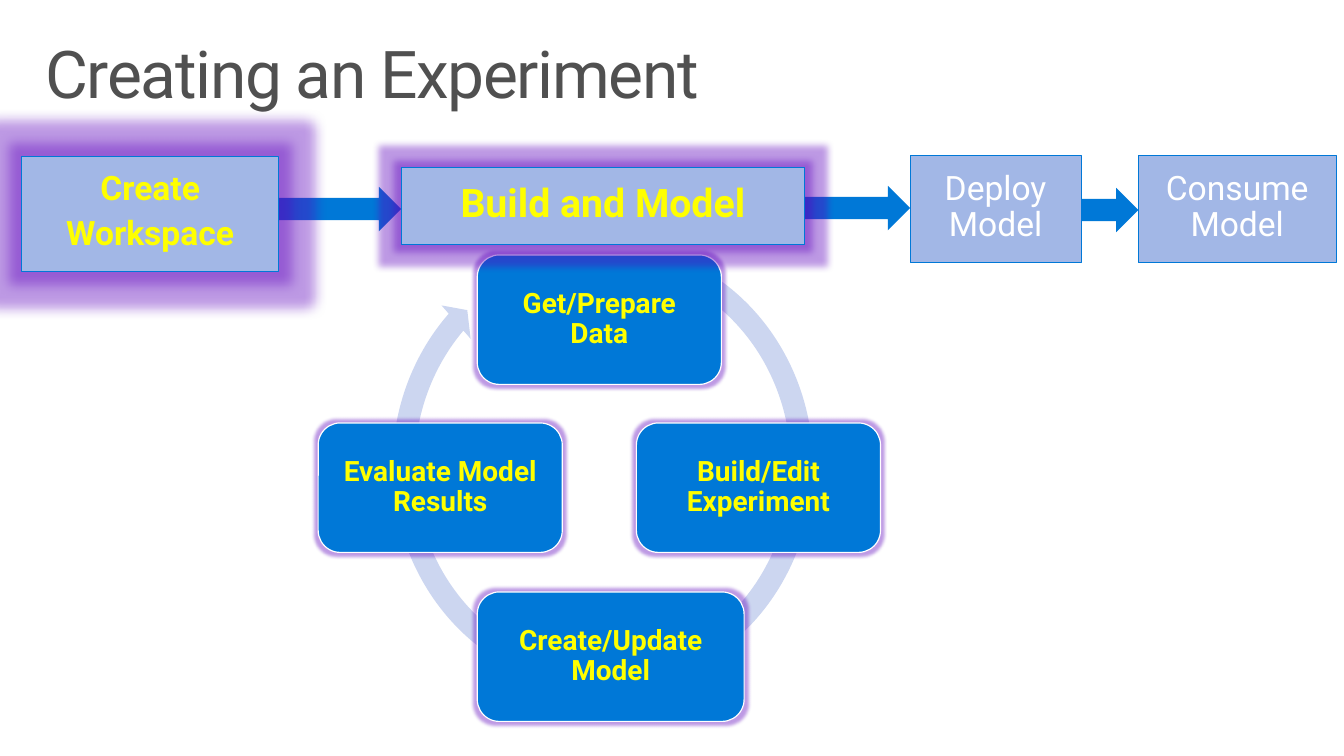
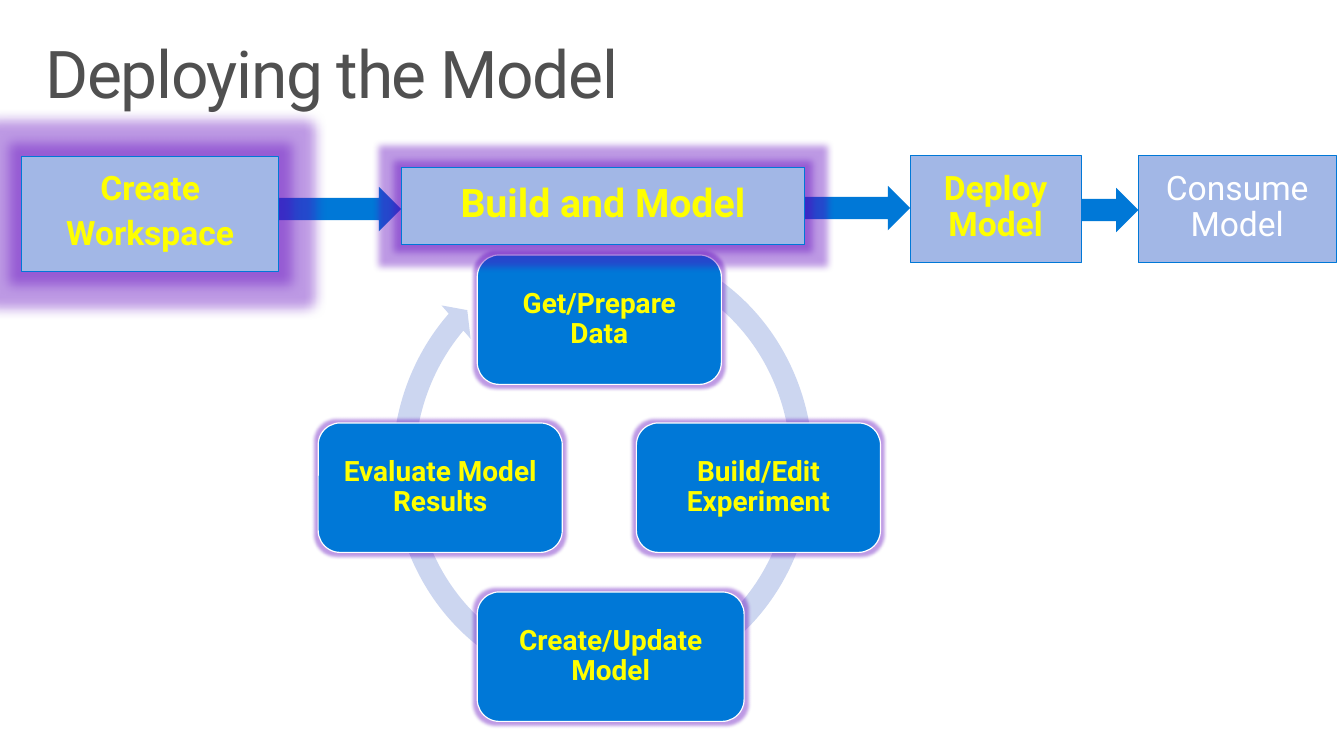
from dataclasses import dataclass

from lxml import etree
from pptx import Presentation
from pptx.dml.color import RGBColor
from pptx.enum.shapes import MSO_SHAPE
from pptx.enum.text import MSO_ANCHOR, MSO_AUTO_SIZE, PP_ALIGN
from pptx.oxml.ns import qn
from pptx.presentation import Presentation as Deck
from pptx.shapes.autoshape import Shape
from pptx.shapes.shapetree import GroupShapes, SlideShapes
from pptx.slide import Slide
from pptx.text.text import TextFrame
from pptx.util import Inches, Pt

RECTANGLE = MSO_SHAPE.RECTANGLE
ROUNDED = MSO_SHAPE.ROUNDED_RECTANGLE
RIGHT_ARROW = MSO_SHAPE.RIGHT_ARROW
CIRCULAR_ARROW = MSO_SHAPE.CIRCULAR_ARROW
TOP, MIDDLE = MSO_ANCHOR.TOP, MSO_ANCHOR.MIDDLE
LEFT, CENTER = PP_ALIGN.LEFT, PP_ALIGN.CENTER
GROW = MSO_AUTO_SIZE.SHAPE_TO_FIT_TEXT
BLANK_LAYOUT = 6


@dataclass(frozen=True)
class Theme:
    font: str = "Roboto"
    title_color: str = "505050"
    accent: str = "0078D7"
    stage_fill: str = "A2B7E6"
    ring_fill: str = "CCD6F0"
    white: str = "FFFFFF"
    active: str = "FFFF00"
    glow: str = "5C00BC"
    glow_alpha: int = 40000
    title_size: float = 48
    stage_size: float = 24.5
    wide_stage_size: float = 28.6
    step_size: float = 20.4
    line_spacing: float = 0.9
    title_tracking: int = -100


@dataclass(frozen=True)
class Box:
    left: float
    top: float
    width: float
    height: float


@dataclass(frozen=True)
class TextStyle:
    size: float
    color: str
    bold: bool = False
    align: PP_ALIGN = CENTER
    anchor: MSO_ANCHOR = TOP
    inset_x: float = 0.2
    inset_y: float = 0.16
    space_after: float = 0


@dataclass(frozen=True)
class Stage:
    text: str
    box: Box
    size: float
    glow: float = 0


@dataclass(frozen=True)
class Step:
    text: str
    box: Box


@dataclass(frozen=True)
class Page:
    title: str
    done: int


THEME = Theme()
TITLE_BOX = Box(0.3, 0.32, 13, 1)
RING_BOX = Box(3.86, 2.34, 4.48, 4.75)
RING_ADJUSTMENTS = (0.05, 2.73, 134.66, 176.14, 0.05)
STEP_WIDTH, STEP_HEIGHT = 2.47, 1.31
STEP_GLOW = 5
ARROWS = tuple(Box(left, top, 1.33, 0.45)
               for left, top in ((10.19, 1.9), (7.88, 1.88), (2.73, 1.89)))
STEPS = (
    Step("Get/Prepare Data", Box(4.83, 2.58, STEP_WIDTH, STEP_HEIGHT)),
    Step("Build/Edit Experiment", Box(6.44, 4.28, STEP_WIDTH, STEP_HEIGHT)),
    Step("Create/Update Model", Box(4.83, 5.99, 2.7, STEP_HEIGHT)),
    Step("Evaluate Model Results", Box(3.22, 4.28, STEP_WIDTH, STEP_HEIGHT)),
)
STAGES = (
    Stage("Build and Model", Box(4.06, 1.7, 4.08, 0.77), THEME.wide_stage_size, 11),
    Stage("Create\nWorkspace", Box(0.22, 1.58, 2.6, 1.17), THEME.stage_size, 18),
    Stage("Deploy Model", Box(9.21, 1.57, 1.73, 1.09), THEME.stage_size),
    Stage("Consume Model", Box(11.52, 1.57, 2, 1.09), THEME.stage_size),
)
PAGES = (Page("Creating an Experiment", 2), Page("Deploying the Model", 3))


def rgb(color: str) -> RGBColor:
    return RGBColor.from_string(color)


def place(box: Box) -> tuple[Inches, Inches, Inches, Inches]:
    return Inches(box.left), Inches(box.top), Inches(box.width), Inches(box.height)


def write(frame: TextFrame, text: str, style: TextStyle) -> None:
    frame.text = text
    frame.word_wrap = True
    frame.vertical_anchor = style.anchor
    frame.margin_left = frame.margin_right = Inches(style.inset_x)
    frame.margin_top = frame.margin_bottom = Inches(style.inset_y)
    for paragraph in frame.paragraphs:
        paragraph.alignment = style.align
        paragraph.line_spacing = THEME.line_spacing
        paragraph.space_after = Pt(style.space_after)
        for run in paragraph.runs:
            run.font.name = THEME.font
            run.font.size = Pt(style.size)
            run.font.bold = style.bold
            run.font.color.rgb = rgb(style.color)


def draw_shape(shapes: SlideShapes | GroupShapes, kind: MSO_SHAPE, box: Box, fill: str,
               line: str = "", line_width: float = 0.75) -> Shape:
    shape = shapes.add_shape(kind, *place(box))
    shape.shadow.inherit = False
    shape.fill.solid()
    shape.fill.fore_color.rgb = rgb(fill)
    if line:
        shape.line.color.rgb = rgb(line)
        shape.line.width = Pt(line_width)
    else:
        shape.line.fill.background()
    return shape


def add_glow(shape: Shape, radius: float) -> None:
    effects = shape.element.spPr.find(qn("a:effectLst"))
    glow = etree.SubElement(effects, qn("a:glow"), rad=str(int(Pt(radius))))
    color = etree.SubElement(glow, qn("a:srgbClr"), val=THEME.glow)
    etree.SubElement(color, qn("a:alpha"), val=str(THEME.glow_alpha))


def draw_title(slide: Slide, title: str) -> None:
    shape = slide.shapes.add_textbox(*place(TITLE_BOX))
    write(shape.text_frame, title,
          TextStyle(THEME.title_size, THEME.title_color, align=LEFT,
                    inset_x=0.16, inset_y=0.1))
    for run in shape.text_frame.paragraphs[0].runs:
        run.font._element.set("spc", str(THEME.title_tracking))


def draw_cycle(slide: Slide) -> None:
    shapes = slide.shapes.add_group_shape().shapes
    ring = draw_shape(shapes, CIRCULAR_ARROW, RING_BOX, THEME.ring_fill)
    for index, value in enumerate(RING_ADJUSTMENTS):
        ring.adjustments[index] = value
    style = TextStyle(THEME.step_size, THEME.active, bold=True, anchor=MIDDLE,
                      inset_x=0.09, inset_y=0.09, space_after=7)
    for step in STEPS:
        shape = draw_shape(shapes, ROUNDED, step.box, THEME.accent, THEME.white, 0.85)
        shape.adjustments[0] = 0.17
        add_glow(shape, STEP_GLOW)
        write(shape.text_frame, step.text, style)


def draw_stage(slide: Slide, stage: Stage, done: bool) -> None:
    shape = draw_shape(slide.shapes, RECTANGLE, stage.box, THEME.stage_fill, THEME.accent)
    if stage.glow:
        add_glow(shape, stage.glow)
    color = THEME.active if done else THEME.white
    write(shape.text_frame, stage.text,
          TextStyle(stage.size, color, bold=done, space_after=6.1))
    shape.text_frame.auto_size = GROW


def draw_page(presentation: Deck, page: Page) -> None:
    slide = presentation.slides.add_slide(presentation.slide_layouts[BLANK_LAYOUT])
    draw_title(slide, page.title)
    for arrow in ARROWS:
        draw_shape(slide.shapes, RIGHT_ARROW, arrow, THEME.accent)
    draw_cycle(slide)
    for index, stage in enumerate(STAGES):
        draw_stage(slide, stage, index < page.done)


def main() -> None:
    presentation = Presentation()
    presentation.slide_width = Inches(13.6)
    presentation.slide_height = Inches(7.65)
    for page in PAGES:
        draw_page(presentation, page)
    presentation.save("out.pptx")


if __name__ == "__main__":
    main()
